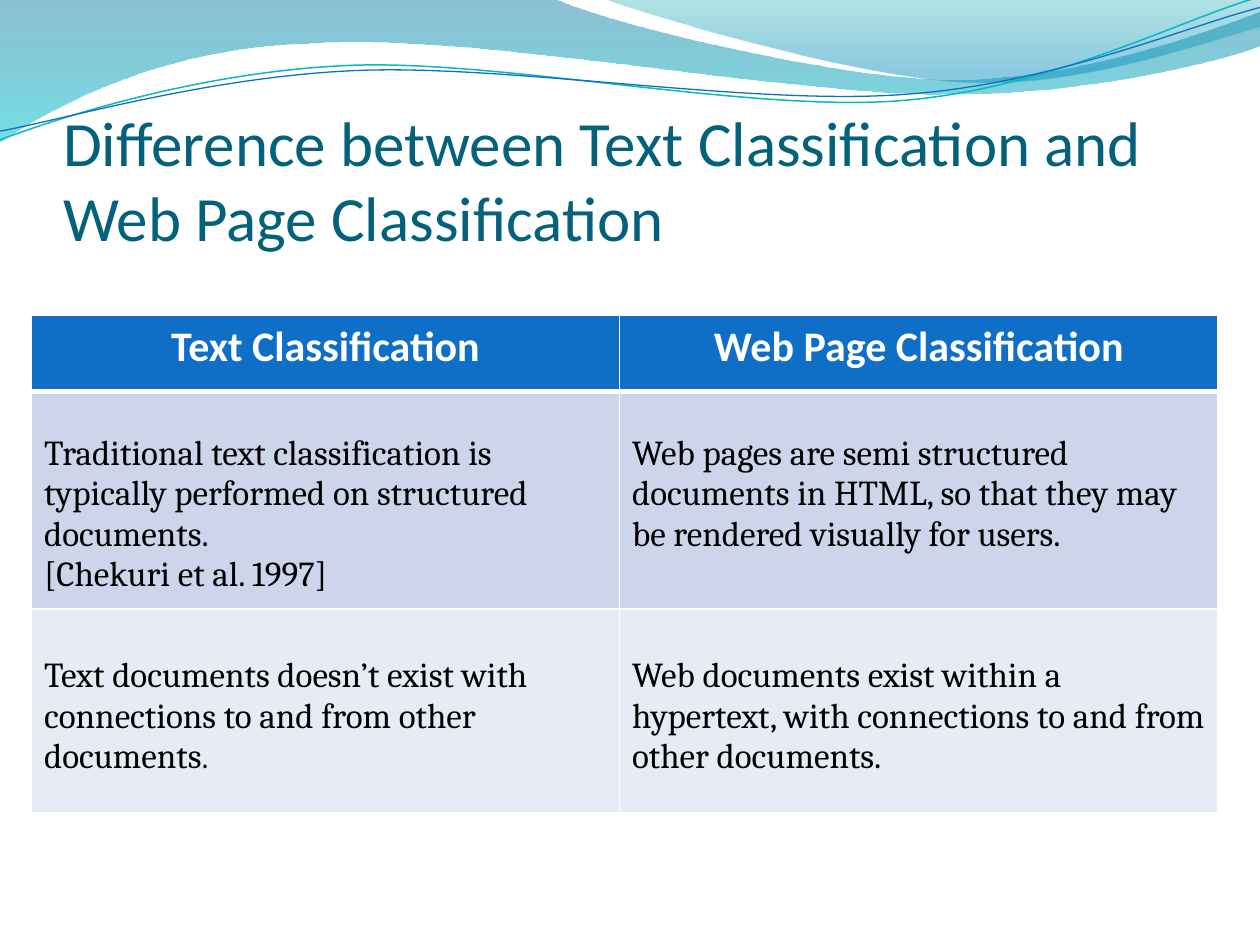
import math

from lxml import etree
from pptx import Presentation
from pptx.dml.color import RGBColor
from pptx.enum.text import MSO_ANCHOR, MSO_AUTO_SIZE, PP_ALIGN
from pptx.oxml.ns import qn
from pptx.util import Pt

LEFT, CENTER = PP_ALIGN.LEFT, PP_ALIGN.CENTER
TOP, BOTTOM = MSO_ANCHOR.TOP, MSO_ANCHOR.BOTTOM
NO_AUTOFIT = MSO_AUTO_SIZE.NONE
TITLE_ONLY = 5
LINE_TILT = -2.7

# Outlines in points: a pair is a corner, six numbers are a Bezier curve
TEAL_WAVE = [(0, 0), (316.8, -0.7),
             (342.7, 12.2, 478.1, 45.4, 545.8, 45.4),
             (614.2, 45.4, 689.8, 18.7, 720, 6.5), (720.7, 25.9),
             (707.8, 31.7, 626.4, 54.7, 537.1, 54),
             (447.8, 54, 275, 20.2, 185, 24.5),
             (92.9, 25.9, 33.1, 59.8, -0.7, 81.4)]
BLUE_WAVE = [(344.9, -0.7), (366.5, 7.9, 491, 44.6, 553.7, 46.8),
             (616.3, 49.7, 691.9, 23, 720, 15.1), (720, 0)]
TEAL_LINE = [(0, 79.9), (34.6, 67, 113.8, 41, 199.4, 37.4),
             (284.4, 33.8, 427, 64.1, 513.4, 57.6),
             (599.8, 51.1, 675.4, 10.8, 718.6, -1.4)]
BLUE_LINE = [(0, 74.9), (33.8, 69.1, 118.1, 43.9, 203.8, 40.3),
             (290.2, 36.7, 429.8, 60.5, 516.2, 54),
             (601.9, 48.2, 677.5, 15.1, 720, 4.3)]

# Each cell is a list of paragraphs, each paragraph a list of (text, size)
HEADER = [[[("Text Classification", 24)]],
          [[("Web Page Classification", 24)]]]
STRUCTURE = [
    [[("Traditional text classification is typically performed on "
       "structured documents.", 20)],
     [("[Chekuri et al. 1997]", 20)]],
    [[("Web pages are semi structured documents in HTML, so that they may "
       "be rendered visually for users.", 20)]],
]
CONNECTIONS = [
    [[("Text documents doesn’t exist with connections to and from other "
       "documents", 20), (".", 18)]],
    [[("Web documents exist within a hypertext, with connections to and "
       "from other documents.", 20)]],
]


def color(value):
    return RGBColor.from_string(value)


def turn(point, center, degrees):
    """Rotate a point clockwise about a center."""
    angle = math.radians(degrees)
    x, y = point[0] - center[0], point[1] - center[1]
    return (center[0] + x * math.cos(angle) - y * math.sin(angle),
            center[1] + x * math.sin(angle) + y * math.cos(angle))


class SlideBuilder:
    heading_font, body_font = "Calibri", "Cambria"
    title_color, accent, white, black = "04617B", "0F6FC6", "FFFFFF", "000000"

    def __init__(self, page):
        self.page = page

    def freeform(self, outline, close, tilt=0, center=(0, 0)):
        points = [step[i:i + 2] for step in outline for i in range(0, len(step), 2)]
        points = [tuple(map(Pt, turn(point, center, -tilt))) for point in points]
        builder = self.page.shapes.build_freeform(*points[0], scale=1.0)
        builder.add_line_segments(points[1:], close=close)
        shape = builder.convert_to_shape()
        shape.rotation = tilt
        shape.shadow.inherit = False
        # Join each three control points into one Bezier segment
        segments = iter(list(shape.element.iter(qn("a:lnTo"))))
        for step in outline[1:]:
            first = next(segments)
            if len(step) == 6:
                first.tag = qn("a:cubicBezTo")
                for _ in range(2):
                    extra = next(segments)
                    first.append(extra[0])
                    extra.getparent().remove(extra)
        return shape

    def wave(self, outline, stops):
        shape = self.freeform(outline, True)
        shape.line.fill.background()
        shape.fill.gradient()
        shape.fill.gradient_angle = 270
        for stop, (position, value, _) in zip(shape.fill.gradient_stops, stops):
            stop.position = position
            stop.color.rgb = color(value)
        for node, (_, _, opacity) in zip(shape.element.iter(qn("a:srgbClr")), stops):
            etree.SubElement(node, qn("a:alpha"), val=str(opacity * 1000))

    def curve(self, outline, center, value, width):
        shape = self.freeform(outline, False, LINE_TILT, center)
        shape.fill.background()
        shape.line.color.rgb = color(value)
        shape.line.width = Pt(width)

    def span(self, para, text, size, font, value, bold=False):
        run = para.add_run()
        run.text = text
        run.font.size = Pt(size)
        run.font.name = font
        run.font.bold = bold
        run.font.color.rgb = color(value)

    def title(self, text, left, top, width, height):
        box = self.page.shapes.title
        box.left, box.top, box.width, box.height = map(Pt, (left, top, width, height))
        frame = box.text_frame
        frame.word_wrap = True
        frame.auto_size = NO_AUTOFIT
        frame.vertical_anchor = BOTTOM
        frame.margin_left = frame.margin_right = frame.margin_bottom = 0
        frame.margin_top = Pt(3.6)
        para = frame.paragraphs[0]
        para.alignment = LEFT
        self.span(para, text, 36, self.heading_font, self.title_color)

    def border(self, cell, side, width):
        line = etree.SubElement(cell._tc.get_or_add_tcPr(), qn("a:ln" + side),
                                w=str(Pt(width)))
        fill = etree.SubElement(line, qn("a:solidFill"))
        etree.SubElement(fill, qn("a:srgbClr"), val=self.white)

    def cell(self, cell, paragraphs, fill, margin_top, top_line, bottom_line, header):
        for side, width in (("L", 1), ("R", 1), ("T", top_line), ("B", bottom_line)):
            self.border(cell, side, width)
        cell.fill.solid()
        cell.fill.fore_color.rgb = color(fill)
        cell.margin_top = Pt(margin_top)
        cell.vertical_anchor = TOP
        font = self.heading_font if header else self.body_font
        ink = self.white if header else self.black
        frame = cell.text_frame
        for i, spans in enumerate(paragraphs):
            para = frame.add_paragraph() if i else frame.paragraphs[0]
            para.alignment = CENTER if header else LEFT
            for text, size in spans:
                self.span(para, text, size, font, ink, header)

    def table(self, left, top, widths, rows):
        """Each row is (height, fill, top margin, top line, bottom line, cells)."""
        heights = [row[0] for row in rows]
        frame = self.page.shapes.add_table(len(rows), len(widths), Pt(left), Pt(top),
                                           Pt(sum(widths)), Pt(sum(heights)))
        table = frame.table
        for column, width in zip(table.columns, widths):
            column.width = Pt(width)
        for r, (height, *style, cells) in enumerate(rows):
            table.rows[r].height = Pt(height)
            for c, paragraphs in enumerate(cells):
                self.cell(table.cell(r, c), paragraphs, *style, header=r == 0)


def main():
    deck = Presentation()
    deck.slide_width, deck.slide_height = Pt(720), Pt(540)
    slide = SlideBuilder(deck.slides.add_slide(deck.slide_layouts[TITLE_ONLY]))

    # Waves along the top edge
    slide.wave(TEAL_WAVE, [(0, "0074A1", 45), (1, "00C6CF", 55)])
    slide.wave(BLUE_WAVE, [(0, "00A1A9", 30), (0.8, "008BBF", 45)])
    slide.curve(TEAL_LINE, (359.3, 41.4), "0AB8BF", 0.85)
    slide.curve(BLUE_LINE, (359.7, 42.5), slide.accent, 0.75)

    # Title
    slide.title("Difference between Text Classification and Web Page Classification",
                36, 55.4, 648, 90)

    # Comparison table
    slide.table(18, 180, [336, 342], [
        (43.9, slide.accent, 3.6, 1, 3, HEADER),
        (124.2, "CCD5EA", 24.2, 3, 1, STRUCTURE),
        (116.6, "E7EBF5", 27, 1, 1, CONNECTIONS),
    ])
    deck.save("out.pptx")


if __name__ == "__main__":
    main()
